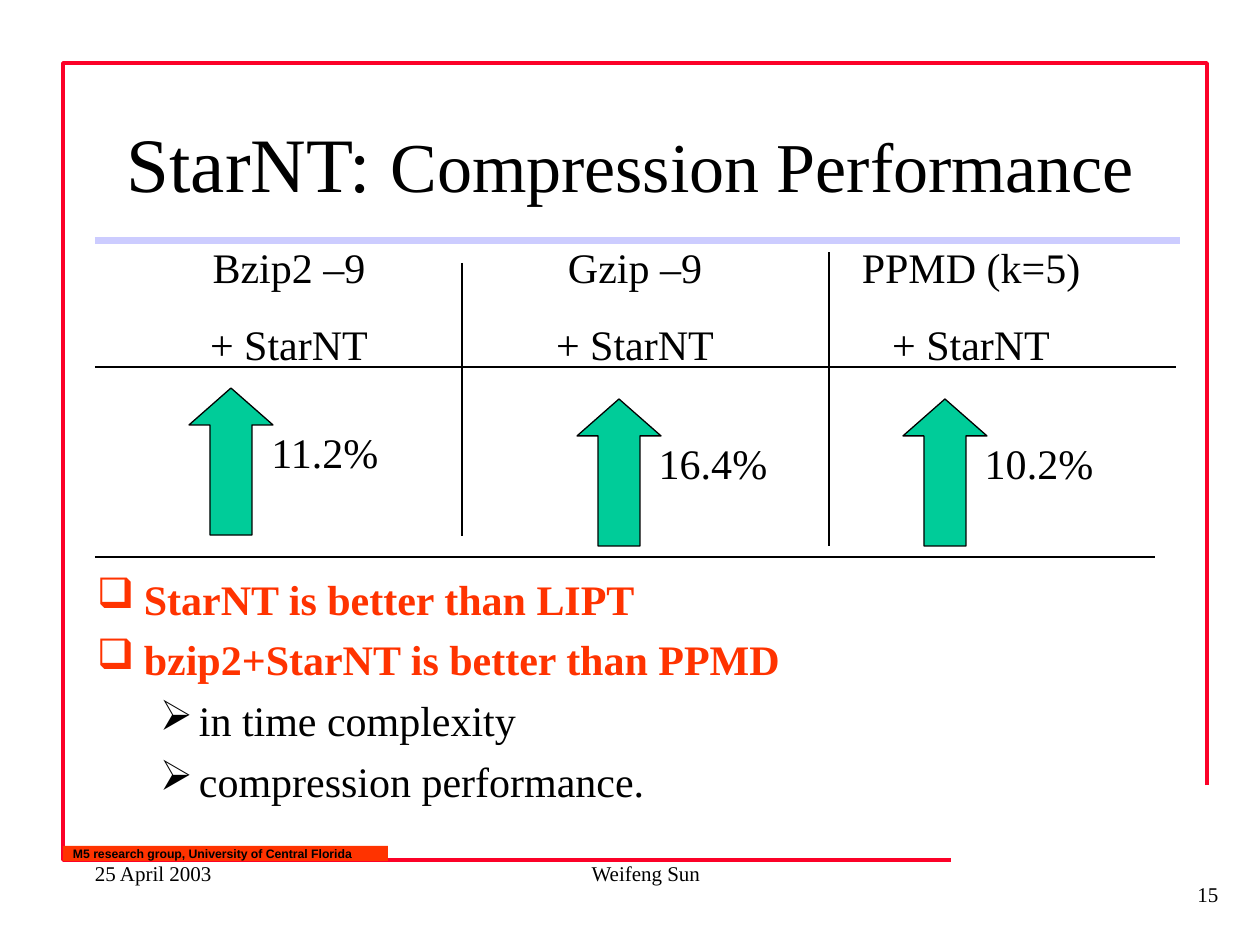
import dataclasses

import lxml.etree
import pptx
import pptx.dml.color
import pptx.enum.shapes
import pptx.enum.text
import pptx.oxml.ns
import pptx.util


@dataclasses.dataclass(frozen=True)
class Theme:
    ink: str = "000000"
    accent: str = "FF3300"
    frame: str = "FC0128"
    rule: str = "CCCCFF"
    arrow: str = "00CC99"
    serif: str = "Times New Roman"
    sans: str = "Arial"
    title: int = 44
    subtitle: int = 40
    body: int = 24
    footer: int = 12
    banner: int = 7


theme = Theme()
PX = 914400 / 126
ALIGN = pptx.enum.text.PP_ALIGN
ANCHOR = pptx.enum.text.MSO_ANCHOR
SHAPE = pptx.enum.shapes.MSO_SHAPE
rgb = pptx.dml.color.RGBColor.from_string
qn = pptx.oxml.ns.qn


def emu(*lengths):
    return [round(length * PX) for length in lengths]


def write(holder, text, size=theme.body, color=theme.ink, font=theme.serif, bold=False,
          align=ALIGN.LEFT, anchor=ANCHOR.TOP, before=0, inset=(0, 0, 0, 0), wrap=True,
          bullet=None, indent=(0, 0), level=0, tail=False):
    frame = holder.text_frame
    frame.word_wrap = wrap
    frame.vertical_anchor = anchor
    frame.margin_left, frame.margin_top, frame.margin_right, frame.margin_bottom = emu(*inset)
    for line in text.split("\n"):
        paragraph = frame.paragraphs[-1]
        if paragraph.runs and not tail:
            paragraph = frame.add_paragraph()
        paragraph.alignment = align
        paragraph.level = level
        paragraph.space_before = pptx.util.Pt(before)
        if bullet:
            properties = paragraph._p.get_or_add_pPr()
            left, hanging = emu(*indent)
            properties.set("marL", str(left))
            properties.set("indent", str(-hanging))
            tint = lxml.etree.SubElement(properties, qn("a:buClr"))
            lxml.etree.SubElement(tint, qn("a:srgbClr"), val=color)
            lxml.etree.SubElement(properties, qn("a:buChar"), char=bullet)
        run = paragraph.add_run()
        run.text = line
        run.font.size = pptx.util.Pt(size)
        run.font.name = font
        run.font.bold = bold
        run.font.color.rgb = rgb(color)


deck = pptx.Presentation()
deck.slide_width, deck.slide_height = emu(1260, 945)
slide = deck.slides.add_slide(deck.slide_layouts[6])
shapes = slide.shapes

title = shapes.add_textbox(*emu(95, 83, 1071, 158))
heading = dict(align=ALIGN.CENTER, anchor=ANCHOR.MIDDLE, inset=(13, 6, 13, 6))
write(title, "StarNT: ", size=theme.title, **heading)
write(title, "Compression Performance", size=theme.subtitle, tail=True, **heading)

findings = shapes.add_textbox(*emu(84, 567, 1071, 221))
listing = dict(before=6, inset=(13, 6, 13, 6))
write(findings, "StarNT is better than LIPT\nbzip2+StarNT is better than PPMD",
      color=theme.accent, bold=True, bullet="❑", indent=(47, 47), **listing)
write(findings, "in time complexity\ncompression performance.",
      bullet="➢", indent=(102, 39), level=1, **listing)

outline = shapes.build_freeform(1207, 785, scale=PX)
outline.add_line_segments([(1207, 63), (63, 63), (63, 860), (951, 860)], close=False)
border = outline.convert_to_shape()
border.shadow.inherit = False
border.fill.background()
border.line.color.rgb = rgb(theme.frame)
border.line.width = pptx.util.Pt(2)

banner = shapes.add_shape(SHAPE.RECTANGLE, *emu(63, 846, 325, 15))
banner.shadow.inherit = False
banner.fill.solid()
banner.fill.fore_color.rgb = rgb(theme.accent)
banner.line.fill.background()
write(banner, "M5 research group, University of Central Florida",
      size=theme.banner, font=theme.sans, bold=True, inset=(10, 0, 0, 0))

for text, box, align in [
    ("Weifeng Sun", (462, 861, 368, 25), ALIGN.CENTER),
    ("15", (1187, 882, 42, 25), ALIGN.CENTER),
    ("25 April 2003", (95, 861, 179, 25), ALIGN.LEFT),
]:
    write(shapes.add_textbox(*emu(*box)), text, size=theme.footer, align=align, before=7.5)

for ends, color, width in [
    ((95, 241, 1180, 241), theme.rule, 4),
    ((95, 557, 1155, 557), theme.ink, 0.75),
    ((95, 367, 1176, 367), theme.ink, 0.75),
    ((829, 252, 829, 546), theme.ink, 0.75),
    ((462, 263, 462, 536), theme.ink, 0.75),
]:
    rule = shapes.add_connector(pptx.enum.shapes.MSO_CONNECTOR.STRAIGHT, *emu(*ends))
    rule.line.color.rgb = rgb(color)
    rule.line.width = pptx.util.Pt(width)
    lxml.etree.SubElement(rule._element.spPr, qn("a:effectLst"))

for method, gain, header_left, arrow_left, arrow_top in [
    ("Bzip2 –9", "11.2%", 179, 189, 388),
    ("Gzip –9", "16.4%", 525, 577, 399),
    ("PPMD (k=5)", "10.2%", 861, 903, 399),
]:
    arrow = shapes.add_shape(SHAPE.UP_ARROW, *emu(arrow_left, arrow_top, 84, 147))
    arrow.adjustments[0] = 0.5
    arrow.adjustments[1] = 0.44
    arrow.shadow.inherit = False
    arrow.fill.solid()
    arrow.fill.fore_color.rgb = rgb(theme.arrow)
    arrow.line.color.rgb = rgb(theme.ink)
    arrow.line.width = pptx.util.Pt(0.75)
    for text, box in [
        (gain, (arrow_left + 73, arrow_top + 32, 126, 63)),
        (method + "\n+ StarNT", (header_left, 284, 220, 42)),
    ]:
        write(shapes.add_textbox(*emu(*box)), text, align=ALIGN.CENTER,
              anchor=ANCHOR.MIDDLE, before=15, wrap=False)

deck.save("out.pptx")
